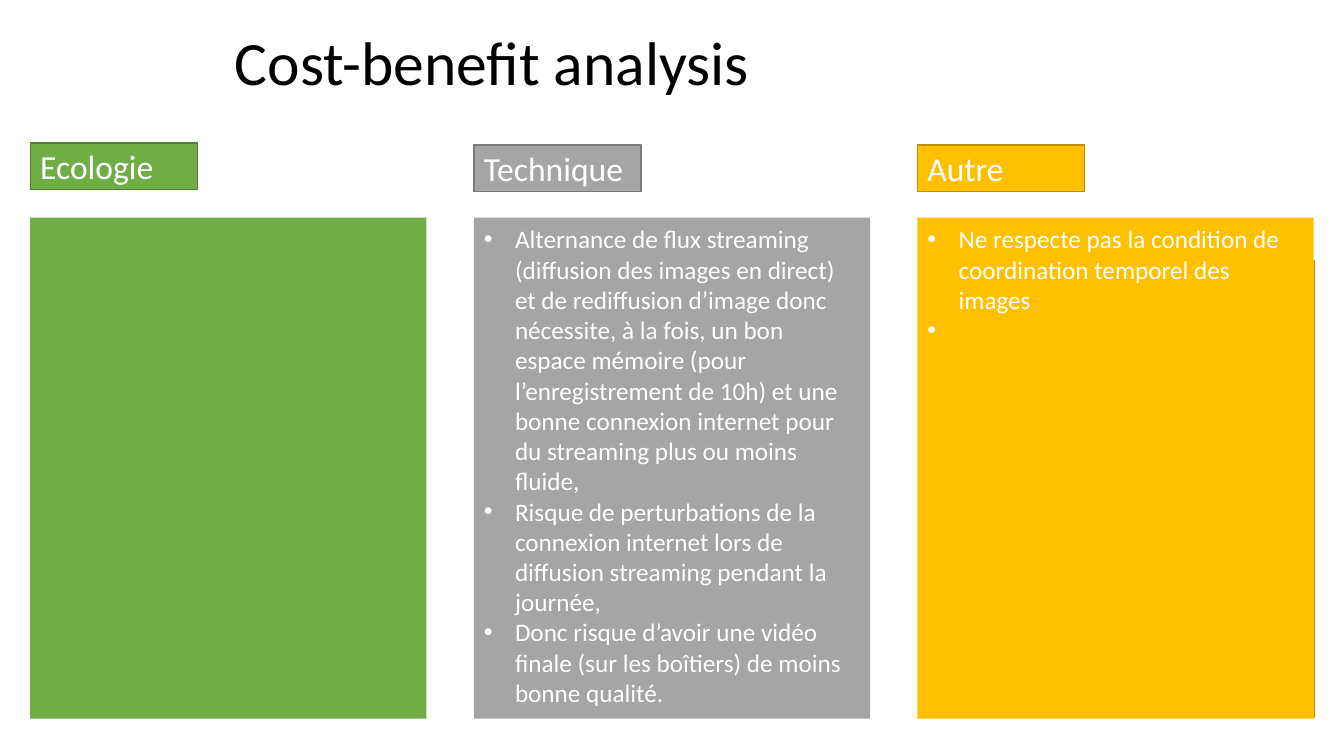
from pptx import Presentation
from pptx import util as u
from pptx.dml.color import RGBColor
from pptx.enum import shapes, text
from lxml import etree

prs = Presentation()
prs.slide_width, prs.slide_height = u.Inches(13.33), u.Inches(7.5)
s = prs.slides.add_slide(prs.slide_layouts[6])

# Column grid, in inches
LEFT, STEP, COL_W = 0.3, 4.4, 3.93
PANEL_TOP, PANEL_H = 2.16, 4.97
INDENT = u.Inches(0.31)


def add_box(x, y, w, h, fill, line=None):
    sp = s.shapes.add_shape(shapes.MSO_SHAPE.RECTANGLE, *map(u.Inches, (x, y, w, h)))
    sp.shadow.inherit = False
    sp.fill.solid()
    sp.fill.fore_color.rgb = RGBColor.from_string(fill)
    if line:
        sp.line.color.rgb = RGBColor.from_string(line)
        sp.line.width = u.Pt(1)
    else:
        sp.line.fill.background()
    return sp


def add_run(p, words, size, color):
    p.alignment = text.PP_ALIGN.LEFT
    r = p.add_run()
    r.text = words
    r.font.name, r.font.size = "Calibri", u.Pt(size)
    r.font.color.rgb = RGBColor.from_string(color)


# Title
title = s.shapes.add_textbox(*map(u.Inches, (2.23, 0.23, 10.14, 0.85)))
tf = title.text_frame
tf.word_wrap = True
tf.vertical_anchor = text.MSO_ANCHOR.MIDDLE
tf.paragraphs[0].line_spacing = 0.9
add_run(tf.paragraphs[0], "Cost-benefit analysis", 44, "000000")

# Outlined card that shows at the right edge of the last panel
add_box(9.34, 2.59, 3.7, 4.53, "FFC000", "BD8E00")

# Columns: heading, heading top, fill, outline, bullets
columns = [
    ("Ecologie", 1.42, "70AD47", "538035", []),
    ("Technique", 1.44, "A5A5A5", "7A7A7A", [
        "Alternance de flux streaming (diffusion des images en direct) et de "
        "rediffusion d’image donc nécessite, à la fois, un bon espace mémoire "
        "(pour l’enregistrement de 10h) et une bonne connexion internet pour "
        "du streaming plus ou moins fluide,",
        "Risque de perturbations de la connexion internet lors de diffusion "
        "streaming pendant la journée,",
        "Donc risque d’avoir une vidéo finale (sur les boîtiers) de moins "
        "bonne qualité.",
    ]),
    ("Autre", 1.44, "FFC000", "BD8E00", [
        "Ne respecte pas la condition de coordination temporel des images",
        " ",
    ]),
]

for i, (heading, top, fill, line, bullets) in enumerate(columns):
    x = LEFT + i * STEP

    # Heading and panel
    label = add_box(x, top, 1.66, 0.46, fill, line)
    label.text_frame.vertical_anchor = text.MSO_ANCHOR.MIDDLE
    add_run(label.text_frame.paragraphs[0], heading, 24, "FFFFFF")
    add_box(x, PANEL_TOP, COL_W, PANEL_H, fill)
    if not bullets:
        continue

    # Bulleted list over the panel, a little narrower than it
    body = s.shapes.add_textbox(
        *map(u.Inches, (x, PANEL_TOP + 0.01, COL_W - 0.03, PANEL_H)))
    tf = body.text_frame
    tf.word_wrap = True
    for n, words in enumerate(bullets):
        p = tf.add_paragraph() if n else tf.paragraphs[0]
        add_run(p, words, 18, "FFFFFF")
        pPr = p._p.get_or_add_pPr()
        pPr.set("marL", str(INDENT))
        pPr.set("indent", str(-INDENT))
        ns = pPr.nsmap["a"]
        etree.SubElement(pPr, f"{{{ns}}}buFont").set("typeface", "Arial")
        etree.SubElement(pPr, f"{{{ns}}}buChar").set("char", "•")

prs.save("out.pptx")
